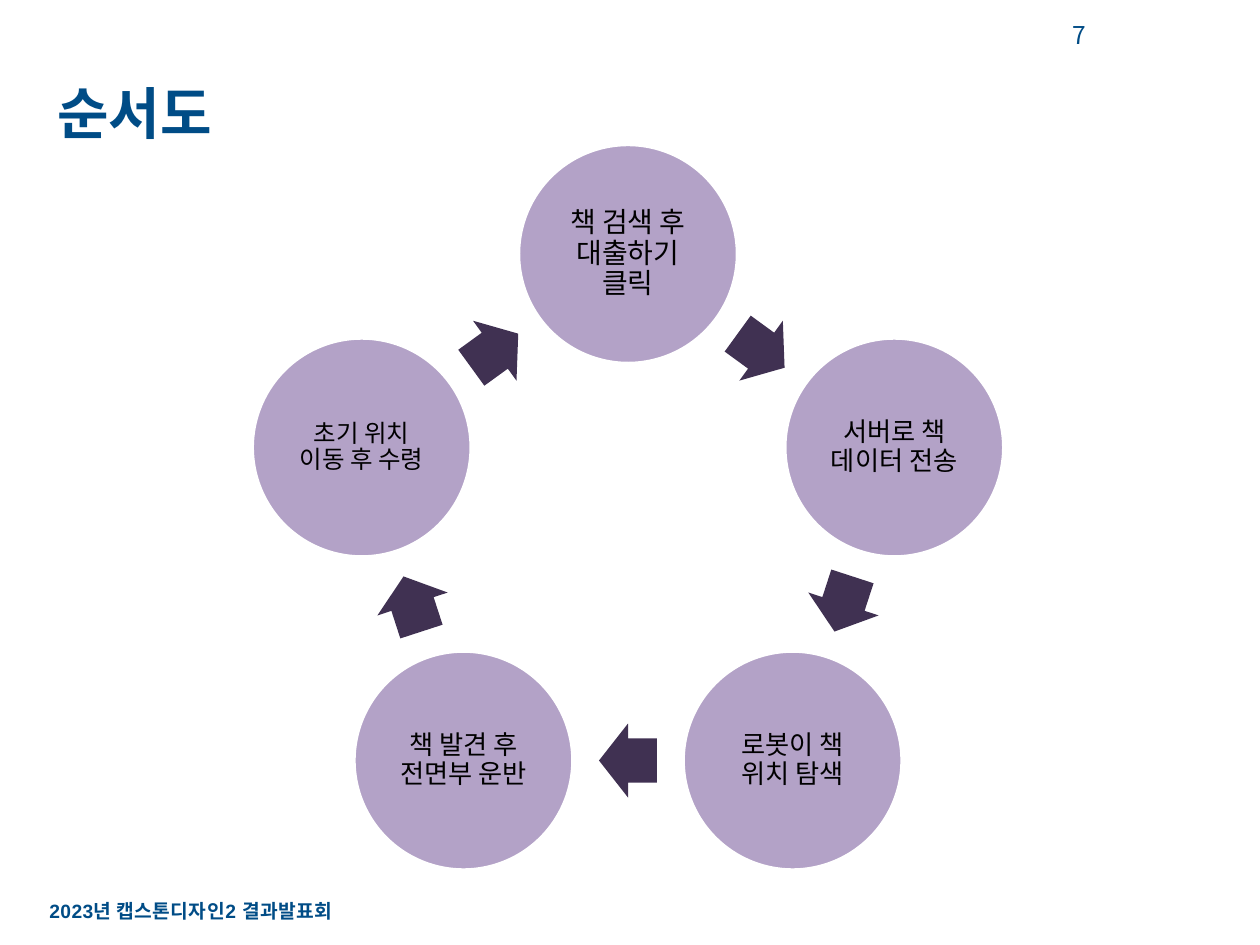
from dataclasses import dataclass
from math import cos, pi, sin

from lxml.etree import SubElement
from pptx import Presentation
from pptx.dml.color import RGBColor
from pptx.enum.shapes import MSO_SHAPE
from pptx.enum.text import MSO_ANCHOR, PP_ALIGN
from pptx.oxml.ns import qn
from pptx.util import Emu, Pt


@dataclass(frozen=True)
class Theme:
    navy: RGBColor = RGBColor(0x00, 0x4C, 0x86)
    lilac: RGBColor = RGBColor(0xB3, 0xA2, 0xC7)
    plum: RGBColor = RGBColor(0x40, 0x31, 0x52)
    white: RGBColor = RGBColor(0xFF, 0xFF, 0xFF)
    black: RGBColor = RGBColor(0x00, 0x00, 0x00)
    latin: str = "Arial"
    korean: str = "Noto Sans CJK KR"
    title: int = 32
    number: int = 14
    footer: int = 11


T = Theme()


def px(n):
    return Emu(round(n * 914400 / 126))


def add_run(p, text, size, color, bold=False, font=T.korean):
    r = p.add_run()
    r.text = text
    r.font.size = Pt(size)
    r.font.bold = bold
    r.font.color.rgb = color
    r.font.name = font
    SubElement(r._r.get_or_add_rPr(), qn("a:ea")).set("typeface", T.korean)
    return r


prs = Presentation()
prs.slide_width, prs.slide_height = px(1260), px(945)
s = prs.slides.add_slide(prs.slide_layouts[6])

tf = s.shapes.add_textbox(px(37), px(893), px(362), px(37)).text_frame
tf.word_wrap = True
r = add_run(tf.paragraphs[0], "2023년 캡스톤디자인2 결과발표회", T.footer, T.navy, True, T.latin)
r._r.get_or_add_rPr().set("spc", "20")

steps = [
    (["책 검색 후", "대출하기", "클릭"], 16),
    (["서버로 책", "데이터 전송"], 15),
    (["로봇이 책", "위치 탐색"], 15),
    (["책 발견 후", "전면부 운반"], 15),
    (["초기 위치", "이동 후 수령"], 14),
]
cx, cy, ring, dia = 628, 534, 280, 219
arrow_w, arrow_h = 58, 74
turn = 2 * pi / len(steps)
mid_ring = ring * cos(turn / 2)

for i, (lines, size) in enumerate(steps):
    x, y = cx + ring * sin(i * turn), cy - ring * cos(i * turn)
    sp = s.shapes.add_shape(MSO_SHAPE.OVAL, px(x - dia / 2), px(y - dia / 2), px(dia), px(dia))
    sp.shadow.inherit = False
    sp.fill.solid()
    sp.fill.fore_color.rgb = T.lilac
    sp.line.color.rgb = T.white
    sp.line.width = Pt(2)
    tf = sp.text_frame
    tf.word_wrap = True
    tf.vertical_anchor = MSO_ANCHOR.MIDDLE
    tf.margin_left = tf.margin_right = tf.margin_top = tf.margin_bottom = px(2)
    p = tf.paragraphs[0]
    p.alignment = PP_ALIGN.CENTER
    p.line_spacing = 0.9
    for n, line in enumerate(lines):
        if n:
            p.add_line_break()
        add_run(p, line, size, T.black)

    a = (i + 0.5) * turn
    x, y = cx + mid_ring * sin(a), cy - mid_ring * cos(a)
    sp = s.shapes.add_shape(MSO_SHAPE.RIGHT_ARROW, px(x - arrow_w / 2), px(y - arrow_h / 2),
                            px(arrow_w), px(arrow_h))
    sp.adjustments[0], sp.adjustments[1] = 0.6, 0.5
    sp.rotation = 36 + 72 * i
    sp.shadow.inherit = False
    sp.fill.solid()
    sp.fill.fore_color.rgb = T.plum
    sp.line.fill.background()

tf = s.shapes.add_textbox(px(45), px(72), px(1160), px(77)).text_frame
tf.word_wrap = True
add_run(tf.paragraphs[0], "순서도", T.title, T.navy, True)

tf = s.shapes.add_textbox(px(1027), px(10), px(105), px(50)).text_frame
tf.word_wrap = True
tf.vertical_anchor = MSO_ANCHOR.MIDDLE
p = tf.paragraphs[0]
p.alignment = PP_ALIGN.CENTER
add_run(p, "7", T.number, T.navy)

prs.save("out.pptx")
